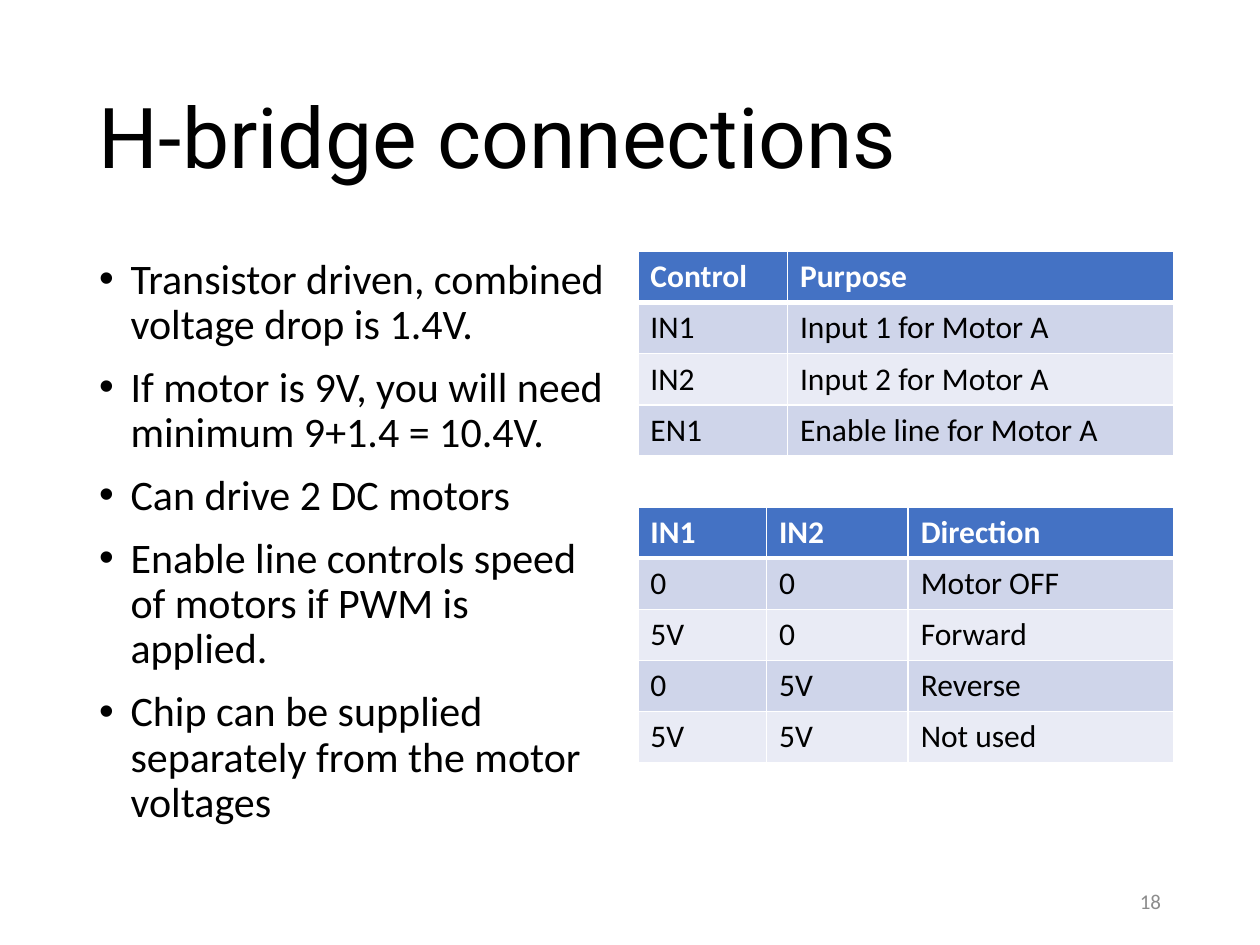
from dataclasses import dataclass

from lxml import etree
from pptx import Presentation
from pptx.dml.color import RGBColor
from pptx.enum.text import MSO_ANCHOR, PP_ALIGN
from pptx.oxml.ns import qn
from pptx.util import Pt

MIDDLE = MSO_ANCHOR.MIDDLE
TOP = MSO_ANCHOR.TOP
LEFT = PP_ALIGN.LEFT
RIGHT = PP_ALIGN.RIGHT


@dataclass(frozen=True)
class Theme:
    title_font: str = "Roboto"
    body_font: str = "Calibri"
    title_size: float = 48
    body_size: float = 24
    table_size: float = 18
    number_size: float = 12
    text: str = "000000"
    white: str = "FFFFFF"
    number: str = "8C8C8C"
    header: str = "4472C4"
    bands: tuple[str, str] = ("CFD5EA", "E9EBF5")
    thin_line: float = 1
    thick_line: float = 3


@dataclass(frozen=True)
class TextBlock:
    left: float
    top: float
    width: float
    height: float
    lines: tuple[str, ...]
    size: float
    color: str
    font: str
    anchor: MSO_ANCHOR = MIDDLE
    align: PP_ALIGN = LEFT
    line_spacing: float = 1
    bulleted: bool = False


@dataclass(frozen=True)
class TableBlock:
    top: float
    column_widths: tuple[float, ...]
    rows: tuple[tuple[str, ...], ...]


THEME = Theme()
TABLE_LEFT = 364.5
ROW_HEIGHT = 29.2
BULLET_INDENT = 18
BULLET_GAP = 10

TEXT_BLOCKS = (
    TextBlock(49.5, 28.75, 621, 104.4, ("H-bridge connections",),
              THEME.title_size, THEME.text, THEME.title_font, line_spacing=0.9),
    TextBlock(49.5, 143.75, 306, 342.6, (
        "Transistor driven, combined voltage drop is 1.4V.",
        "If motor is 9V, you will need minimum 9+1.4 = 10.4V.",
        "Can drive 2 DC motors",
        "Enable line controls speed of motors if PWM is applied.",
        "Chip can be supplied separately from the motor voltages",
    ), THEME.body_size, THEME.text, THEME.body_font, TOP, line_spacing=0.9, bulleted=True),
    TextBlock(508.5, 500.5, 162, 28.75, ("18",),
              THEME.number_size, THEME.number, THEME.body_font, align=RIGHT),
)

TABLE_BLOCKS = (
    TableBlock(143.75, (85.5, 220.5), (
        ("Control", "Purpose"),
        ("IN1", "Input 1 for Motor A"),
        ("IN2", "Input 2 for Motor A"),
        ("EN1", "Enable line for Motor A"),
    )),
    TableBlock(289.75, (73.5, 81, 151.5), (
        ("IN1", "IN2", "Direction"),
        ("0", "0", "Motor OFF"),
        ("5V", "0", "Forward"),
        ("0", "5V", "Reverse"),
        ("5V", "5V", "Not used"),
    )),
)


def style_font(font, name: str, size: float, color: str, bold: bool = False) -> None:
    font.name = name
    font.size = Pt(size)
    font.bold = bold
    font.color.rgb = RGBColor.from_string(color)


def add_bullet(paragraph) -> None:
    properties = paragraph._p.get_or_add_pPr()
    properties.set("marL", str(Pt(BULLET_INDENT)))
    properties.set("indent", str(-Pt(BULLET_INDENT)))
    etree.SubElement(properties, qn("a:buFont"), typeface="Arial")
    etree.SubElement(properties, qn("a:buChar"), char="•")


def add_text(slide, block: TextBlock) -> None:
    shape = slide.shapes.add_textbox(
        Pt(block.left), Pt(block.top), Pt(block.width), Pt(block.height))
    text_frame = shape.text_frame
    text_frame.word_wrap = True
    text_frame.vertical_anchor = block.anchor
    text_frame.text = "\n".join(block.lines)
    for index, paragraph in enumerate(text_frame.paragraphs):
        paragraph.alignment = block.align
        paragraph.line_spacing = block.line_spacing
        if block.bulleted:
            paragraph.space_before = Pt(BULLET_GAP if index else 0)
            add_bullet(paragraph)
        for run in paragraph.runs:
            style_font(run.font, block.font, block.size, block.color)


def add_border(cell, side: str, width: float) -> None:
    line = etree.SubElement(
        cell._tc.get_or_add_tcPr(), qn(f"a:{side}"), w=str(Pt(width)))
    fill = etree.SubElement(line, qn("a:solidFill"))
    etree.SubElement(fill, qn("a:srgbClr"), val=THEME.white)


def style_cell(cell, row_index: int) -> None:
    is_header = row_index == 0
    thick_sides = {0: "lnB", 1: "lnT"}
    for side in ("lnL", "lnR", "lnT", "lnB"):
        is_thick = thick_sides.get(row_index) == side
        add_border(cell, side, THEME.thick_line if is_thick else THEME.thin_line)
    fill_color = THEME.header if is_header else THEME.bands[(row_index - 1) % 2]
    cell.fill.solid()
    cell.fill.fore_color.rgb = RGBColor.from_string(fill_color)
    for run in cell.text_frame.paragraphs[0].runs:
        style_font(run.font, THEME.body_font, THEME.table_size,
                   THEME.white if is_header else THEME.text, is_header)


def add_table(slide, block: TableBlock) -> None:
    row_count = len(block.rows)
    table = slide.shapes.add_table(
        row_count, len(block.column_widths), Pt(TABLE_LEFT), Pt(block.top),
        Pt(sum(block.column_widths)), Pt(ROW_HEIGHT * row_count)).table
    for column, width in zip(table.columns, block.column_widths):
        column.width = Pt(width)
    for row_index, texts in enumerate(block.rows):
        table.rows[row_index].height = Pt(ROW_HEIGHT)
        for column_index, text in enumerate(texts):
            cell = table.cell(row_index, column_index)
            cell.text_frame.text = text
            style_cell(cell, row_index)


def main() -> None:
    presentation = Presentation()
    presentation.slide_width = Pt(720)
    presentation.slide_height = Pt(540)
    slide = presentation.slides.add_slide(presentation.slide_layouts[6])
    for text_block in TEXT_BLOCKS:
        add_text(slide, text_block)
    for table_block in TABLE_BLOCKS:
        add_table(slide, table_block)
    presentation.save("out.pptx")


if __name__ == "__main__":
    main()
